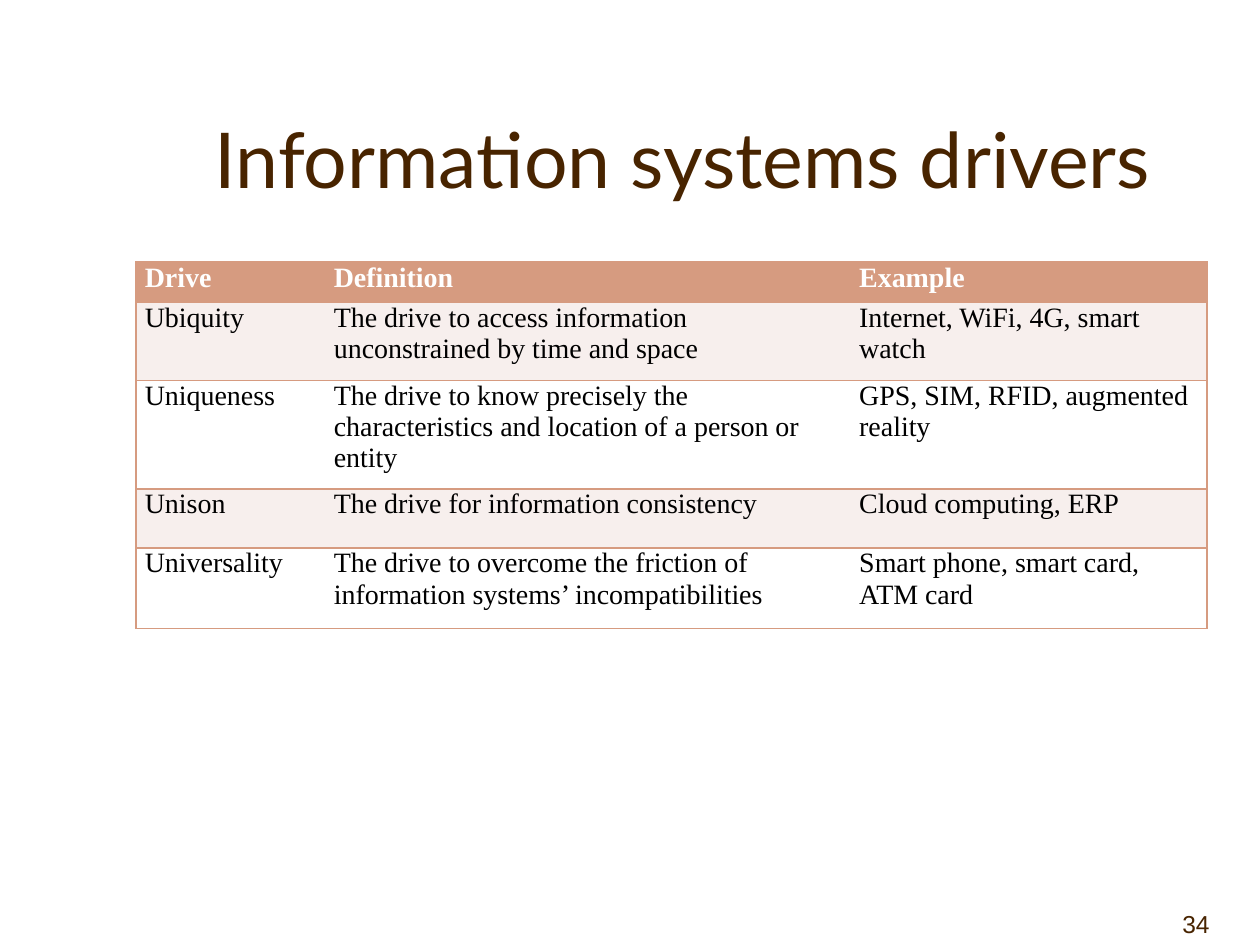
from dataclasses import dataclass

from lxml.etree import SubElement
from pptx import Presentation
from pptx.dml.color import RGBColor
from pptx.enum.text import MSO_ANCHOR, PP_ALIGN
from pptx.oxml.ns import qn
from pptx.util import Inches, Pt


@dataclass(frozen=True)
class Theme:
    brown: str = "482400"
    accent: str = "D69B80"
    band: str = "F7EFED"
    white: str = "FFFFFF"
    black: str = "000000"
    title_font: str = "Lato"
    table_font: str = "Times New Roman"
    number_font: str = "Arial"
    title_size: int = 44
    table_size: int = 16
    number_size: int = 14
    border_width: int = 1


THEME = Theme()

COLUMN_WIDTHS = (1.5, 4.17, 2.83)
ROW_HEIGHTS = (0.32, 0.62, 0.86, 0.47, 0.64)
DRIVES = (
    ("Drive", "Definition", "Example"),
    ("Ubiquity", "The drive to access information unconstrained by time and space",
     "Internet, WiFi, 4G, smart watch"),
    ("Uniqueness", "The drive to know precisely the characteristics and location "
     "of a person or entity", "GPS, SIM, RFID, augmented reality"),
    ("Unison", "The drive for information consistency", "Cloud computing, ERP"),
    ("Universality", "The drive to overcome the friction of information systems’ "
     "incompatibilities", "Smart phone, smart card, ATM card"),
)


def add_run(paragraph, text, font, size, color, bold=False):
    run = paragraph.add_run()
    run.text = text
    run.font.name = font
    run.font.size = Pt(size)
    run.font.bold = bold
    run.font.color.rgb = RGBColor.from_string(color)


def add_bottom_text(slide, box, text, font, size, alignment, right_inset=0.1):
    """Place one line of brown text at the foot of the box."""
    shape = slide.shapes.add_textbox(*map(Inches, box))
    frame = shape.text_frame
    frame.word_wrap = True
    frame.vertical_anchor = MSO_ANCHOR.BOTTOM
    frame.margin_right = Inches(right_inset)
    paragraph = frame.paragraphs[0]
    paragraph.alignment = alignment
    add_run(paragraph, text, font, size, THEME.brown)


def set_borders(cell, visible_sides):
    """Draw the named sides (L, R, T, B) of a cell and hide the others."""
    properties = cell._tc.get_or_add_tcPr()
    for side in "LRTB":
        line = SubElement(properties, qn(f"a:ln{side}"), w=str(Pt(THEME.border_width)))
        if side in visible_sides:
            fill = SubElement(line, qn("a:solidFill"))
            SubElement(fill, qn("a:srgbClr"), val=THEME.accent)
        else:
            SubElement(line, qn("a:noFill"))


def fill_cell(cell, text, row, column):
    is_header = row == 0
    sides = "TB"
    if column == 0:
        sides += "L"
    if column == len(COLUMN_WIDTHS) - 1:
        sides += "R"
    set_borders(cell, sides)
    background = THEME.accent if is_header else THEME.band if row % 2 else THEME.white
    cell.fill.solid()
    cell.fill.fore_color.rgb = RGBColor.from_string(background)
    cell.margin_left = cell.margin_right = Inches(0.07)
    cell.margin_top = cell.margin_bottom = 0
    add_run(cell.text_frame.paragraphs[0], text, THEME.table_font, THEME.table_size,
            THEME.white if is_header else THEME.black, is_header)


def add_drives_table(slide, box):
    frame = slide.shapes.add_table(len(DRIVES), len(COLUMN_WIDTHS), *map(Inches, box))
    table = frame.table
    for column, width in zip(table.columns, COLUMN_WIDTHS):
        column.width = Inches(width)
    for row, height in zip(table.rows, ROW_HEIGHTS):
        row.height = Inches(height)
    for row, texts in enumerate(DRIVES):
        for column, text in enumerate(texts):
            fill_cell(table.cell(row, column), text, row, column)


def add_drivers_slide(presentation):
    slide = presentation.slides.add_slide(presentation.slide_layouts[6])
    add_bottom_text(slide, (1.17, 0.42, 8.5, 1.25), "Information systems drivers",
                    THEME.title_font, THEME.title_size, PP_ALIGN.CENTER)
    add_drives_table(slide, (1.08, 2.08, sum(COLUMN_WIDTHS), sum(ROW_HEIGHTS)))
    add_bottom_text(slide, (9, 7, 1, 0.5), "34", THEME.number_font,
                    THEME.number_size, PP_ALIGN.RIGHT, right_inset=0.4)


def main():
    presentation = Presentation()
    presentation.slide_width = Inches(10)
    presentation.slide_height = Inches(7.5)
    add_drivers_slide(presentation)
    presentation.save("out.pptx")


if __name__ == "__main__":
    main()
